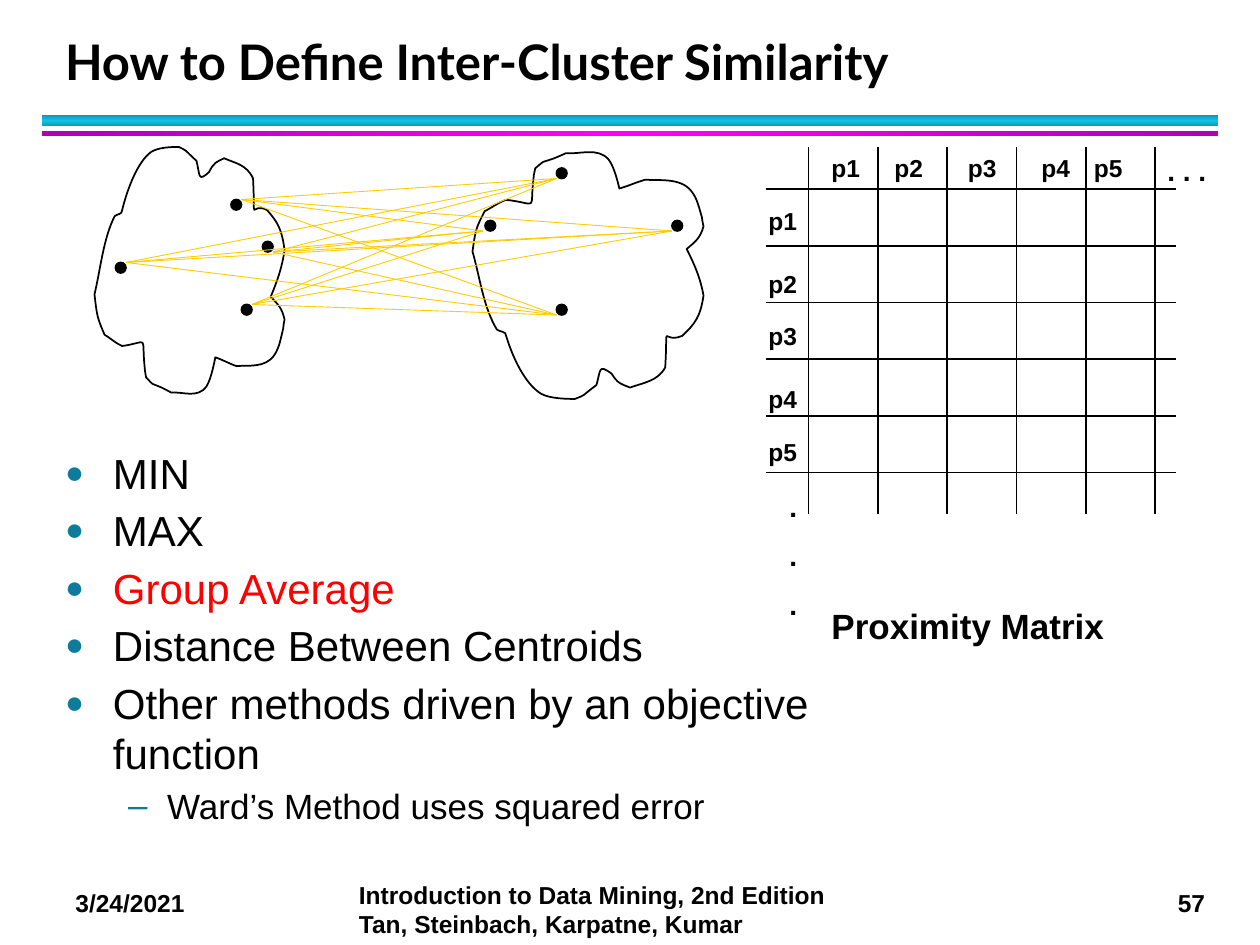
import copy
import itertools

import pptx
import pptx.dml.color
import pptx.enum.shapes
import pptx.enum.text
import pptx.oxml
import pptx.oxml.ns
import pptx.util

COLORS = {"ink": "000000", "cyan": "12C2E9", "cyan_edge": "0E9BBA",
          "magenta": "FF00FF", "magenta_edge": "B200B2", "link": "FFCC00",
          "accent": "FF0000", "bullet": "0C7B9C"}
COLUMNS, ROWS = 120, 90
CELL = pptx.util.Inches(10) // COLUMNS
LABEL = {"name": "Arial", "size": pptx.util.Pt(14), "bold": True}
DOTS = LABEL | {"size": pptx.util.Pt(16)}

# Closed Bezier outline in hundredths of an inch: start, then two controls and an end per row
OUTLINE_SIZE = (151, 200)
OUTLINE = [
    (16, 55),
    (7, 73), (5, 96), (0, 117),
    (2, 134), (2, 135), (8, 149),
    (13, 152), (17, 156), (22, 158),
    (44, 155), (37, 148), (40, 176),
    (40, 179), (41, 181), (41, 183),
    (48, 190), (44, 187), (51, 190),
    (54, 191), (61, 195), (61, 195),
    (70, 194), (82, 200), (89, 190),
    (93, 184), (96, 167), (96, 167),
    (102, 169), (107, 172), (113, 174),
    (121, 173), (136, 176), (143, 165),
    (147, 159), (148, 152), (150, 144),
    (150, 142), (151, 137), (151, 137),
    (149, 128), (146, 125), (140, 119),
    (145, 107), (149, 96), (151, 82),
    (149, 66), (146, 60), (137, 50),
    (123, 43), (128, 65), (126, 25),
    (121, 14), (112, 13), (103, 9),
    (97, 12), (95, 12), (91, 20),
    (82, 28), (84, 23), (81, 11),
    (70, 1), (75, 4), (67, 0),
    (63, 0), (51, 0), (45, 4),
    (34, 12), (26, 34), (22, 50),
    (22, 54), (18, 53), (16, 55),
]


def rgb(color):
    return pptx.dml.color.RGBColor.from_string(COLORS[color])


def grid(*cells):
    return [pptx.util.Emu(round(cell * CELL)) for cell in cells]


def apply(target, values):
    for name, value in values.items():
        setattr(target, name, value)


def place(placeholder, box):
    apply(placeholder, dict(zip(("left", "top", "width", "height"), grid(*box))))


def write(paragraph, text, style, color="ink"):
    paragraph.text = text
    for run in paragraph.runs:
        apply(run.font, style)
        run.font.color.rgb = rgb(color)


def add_label(slide, box, lines, style=LABEL, wrap=True):
    frame = slide.shapes.add_textbox(*grid(*box)).text_frame
    apply(frame, {"word_wrap": wrap,
                  "auto_size": pptx.enum.text.MSO_AUTO_SIZE.SHAPE_TO_FIT_TEXT})
    for index, line in enumerate(lines):
        paragraph = frame.add_paragraph() if index else frame.paragraphs[0]
        write(paragraph, line, style)
        if index:
            paragraph.space_before = pptx.util.Pt(9)


def add_line(slide, start, end, color="ink", width=1):
    line = slide.shapes.add_connector(
        pptx.enum.shapes.MSO_CONNECTOR.STRAIGHT, *grid(*start, *end))
    line.line.color.rgb = rgb(color)
    line.line.width = pptx.util.Pt(width)
    line._element.spPr.append(pptx.oxml.parse_xml(
        f"<a:effectLst {pptx.oxml.ns.nsdecls('a')}/>"))


def add_bar(slide, box, middle, edge, angle):
    bar = slide.shapes.add_shape(pptx.enum.shapes.MSO_SHAPE.RECTANGLE, *grid(*box))
    bar.shadow.inherit = False
    bar.line.fill.background()
    bar.fill.gradient()
    bar.fill.gradient_angle = angle
    stops = next(bar._element.spPr.iter(pptx.oxml.ns.qn("a:gsLst")))
    stops.append(copy.deepcopy(stops[-1]))
    for stop, color, position in zip(bar.fill.gradient_stops,
                                     (edge, middle, edge), (0, 0.5, 1)):
        stop.color.rgb = rgb(color)
        stop.position = position


def add_header(slide, box):
    left, top, width, height = box
    title = slide.shapes.title
    place(title, (left + 1, top, width - 3.3, 7.2))
    apply(title.text_frame, {"vertical_anchor": pptx.enum.text.MSO_ANCHOR.BOTTOM,
                             "auto_size": pptx.enum.text.MSO_AUTO_SIZE.NONE})
    heading = title.text_frame.paragraphs[0]
    apply(heading, {"alignment": pptx.enum.text.PP_ALIGN.LEFT,
                    "line_spacing": pptx.util.Pt(36)})
    write(heading, "How to Define Inter-Cluster Similarity",
          {"name": "Lato", "size": pptx.util.Pt(28), "bold": True})
    add_bar(slide, (left, top + height - 2, width, 1), "cyan", "cyan_edge", 90)
    add_bar(slide, (left, top + height - 0.5, width, 0.5), "magenta", "magenta_edge", 0)


def curve(outline):
    """Turn each three straight segments of an outline into one Bezier curve."""
    qn = pptx.oxml.ns.qn
    segments = list(outline._element.spPr.iter(qn("a:lnTo")))
    for first, second, third in zip(*[iter(segments)] * 3):
        for later in (second, third):
            first.append(later[0])
            later.getparent().remove(later)
        first.tag = qn("a:cubicBezTo")


def add_cluster(slide, box, points, flip=False):
    """Draw the outline and its points; return where the links meet the points."""
    left, top, width, height = box
    across, down = OUTLINE_SIZE
    start, *rest = [grid(left + x / across * width,
                         top + (down - y if flip else y) / down * height)
                    for x, y in OUTLINE]
    builder = slide.shapes.build_freeform(*start)
    builder.add_line_segments(rest, close=True)
    outline = builder.convert_to_shape()
    outline.shadow.inherit = False
    outline.fill.background()
    outline.line.color.rgb = rgb("ink")
    outline.line.width = pptx.util.Pt(1)
    curve(outline)
    link_ends = []
    for x, y, link_x, link_y in points:
        dot = slide.shapes.add_shape(pptx.enum.shapes.MSO_SHAPE.OVAL,
                                     *grid(left + x, top + y, 1, 1))
        dot.shadow.inherit = False
        dot.fill.solid()
        dot.fill.fore_color.rgb = dot.line.color.rgb = rgb("ink")
        dot.line.width = pptx.util.Pt(1)
        link_ends.append((left + x + link_x, top + y + link_y))
    return link_ends


def add_clusters(slide, box):
    left, top, _, height = box
    first = add_cluster(slide, (left, top, 18.1, height),
                        [(14, 15, 1, 0), (16, 9, 1, 1), (2, 11, 1, 0), (13, 5, 1, 0)])
    second = add_cluster(slide, (left + 36, top, 22, height),
                         [(8, 15, 0, 1), (1.2, 7, -0.2, 1), (8, 2, 0, 1), (19, 7, 0, 1)],
                         flip=True)
    for start, end in itertools.product(first, second):
        add_line(slide, start, end, "link", 0.5)


def add_matrix(slide, box):
    left, top, width, height = box
    for index in range(6):
        x, y = left + 5 + 6.6 * index, top + 4 + 5.4 * index
        add_line(slide, (x, top), (x, top + 35))
        add_line(slide, (left + 1, y), (left + 40, y))
    label_places = zip((6, 12, 19, 26, 31), (5, 11, 16, 22, 27))
    for number, (x, y) in enumerate(label_places, 1):
        add_label(slide, (left + x, top, 7, 4), [f"p{number}"])
        add_label(slide, (left, top + y, 7, 4), [f"p{number}"])
    add_label(slide, (left + width - 7, top, 7, 4.4), [". . ."], DOTS)
    add_label(slide, (left + 2, top + 32, 7, 14), [".", ".", "."], DOTS)
    add_label(slide, (left + 6, top + height - 5.2, 33, 5.2), ["Proximity Matrix"],
              LABEL | {"size": pptx.util.Pt(20)})


def add_methods(slide, box):
    methods = [("MIN", 0, "ink"), ("MAX", 0, "ink"), ("Group Average", 0, "accent"),
               ("Distance Between Centroids", 0, "ink"),
               ("Other methods driven by an objective function", 0, "ink"),
               ("Ward’s Method uses squared error", 1, "ink")]
    levels = [("●", 75, 24, 0.38, -0.38), ("–", 100, 20, 0.81, -0.31)]
    body = slide.placeholders[1]
    place(body, box)
    frame = body.text_frame
    frame.auto_size = pptx.enum.text.MSO_AUTO_SIZE.NONE
    for index, (text, level, color) in enumerate(methods):
        mark, scale, size, margin, indent = levels[level]
        paragraph = frame.add_paragraph() if index else frame.paragraphs[0]
        properties = paragraph._p.get_or_add_pPr()
        properties.set("marL", str(pptx.util.Inches(margin)))
        properties.set("indent", str(pptx.util.Inches(indent)))
        for tag in (f'buClr {{}}><a:srgbClr val="{COLORS["bullet"]}"/></a:buClr>',
                    f'buSzPct {{}} val="{scale * 1000}"/>',
                    'buFont {} typeface="Arial"/>', f'buChar {{}} char="{mark}"/>'):
            properties.append(pptx.oxml.parse_xml(
                "<a:" + tag.format(pptx.oxml.ns.nsdecls("a"))))
        apply(paragraph, {"level": level, "space_after": pptx.util.Pt(2),
                          "space_before": pptx.util.Pt(2 if index else 0)})
        write(paragraph, text, {"name": "Arial", "size": pptx.util.Pt(size)}, color)


def add_footer(slide, box):
    left, top, width, height = box
    add_label(slide, (left, top + 0.8, 16, 4.1), ["3/24/2021"])
    add_label(slide, (left + 27, top, 49, height),
              ["Introduction to Data Mining, 2nd Edition\vTan, Steinbach, Karpatne, Kumar"])
    add_label(slide, (left + width - 5.3, top + 0.8, 5.3, 4.1), ["57"], wrap=False)


def main():
    deck = pptx.Presentation()
    deck.slide_width, deck.slide_height = grid(COLUMNS, ROWS)
    slide = deck.slides.add_slide(deck.slide_layouts[1])
    add_header(slide, (4, 2, 112, 11))
    add_matrix(slide, (72, 14, 45, 48.2))
    add_clusters(slide, (9, 14, 58, 24))
    add_methods(slide, (5, 42, 76, 41))
    add_footer(slide, (6, 83.2, 110.3, 6.8))
    deck.save("out.pptx")


if __name__ == "__main__":
    main()
